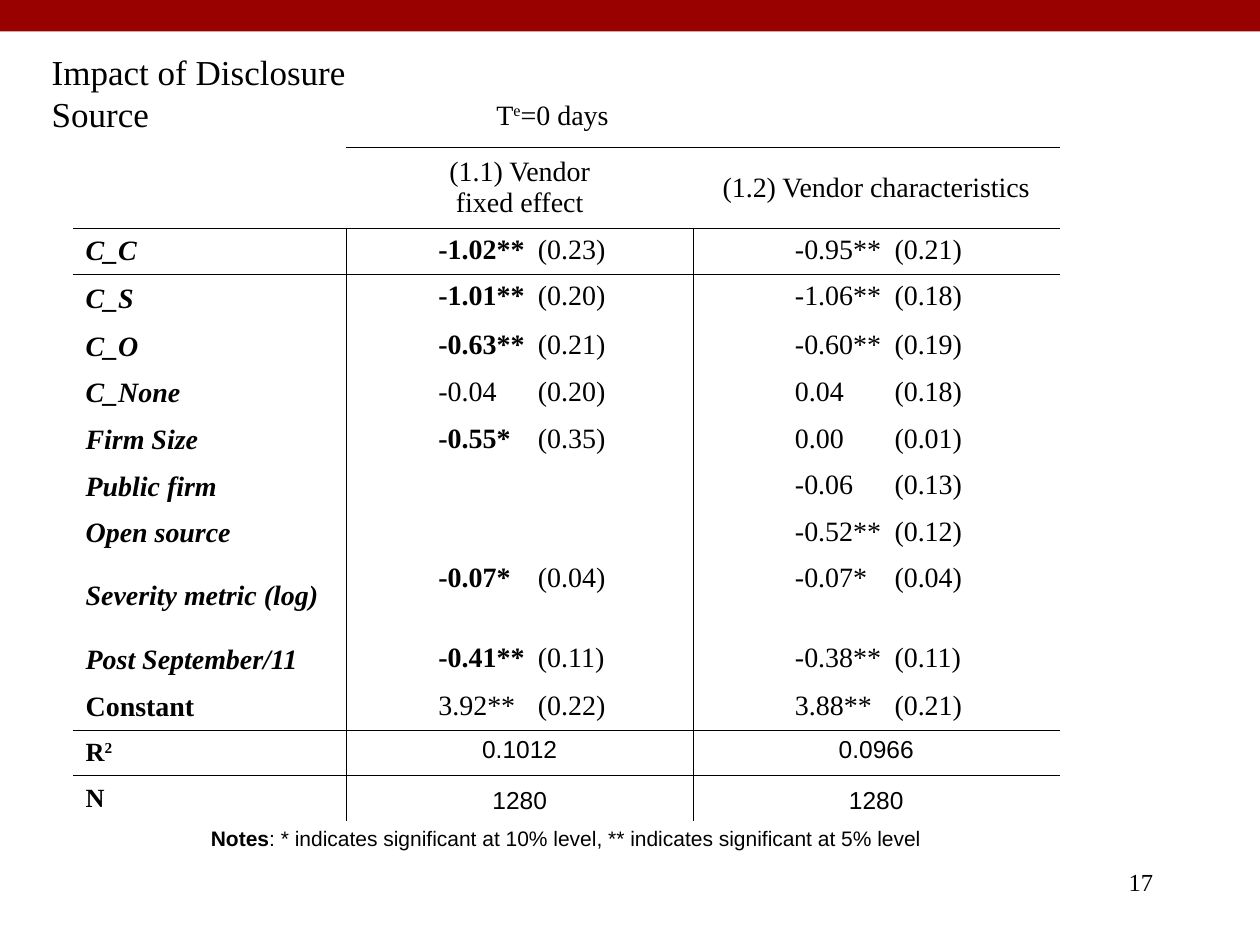
from lxml import etree
from pptx import Presentation
from pptx.dml.color import RGBColor
from pptx.enum.shapes import MSO_SHAPE
from pptx.enum.text import MSO_ANCHOR, MSO_AUTO_SIZE, PP_ALIGN
from pptx.oxml.ns import qn
from pptx.util import Inches, Pt

RECTANGLE = MSO_SHAPE.RECTANGLE
TOP, MIDDLE, BOTTOM = MSO_ANCHOR.TOP, MSO_ANCHOR.MIDDLE, MSO_ANCHOR.BOTTOM
LEFT, CENTER, RIGHT = PP_ALIGN.LEFT, PP_ALIGN.CENTER, PP_ALIGN.RIGHT
NO_AUTOFIT = MSO_AUTO_SIZE.NONE

RED = RGBColor(0x99, 0x00, 0x00)
BLACK = RGBColor(0x00, 0x00, 0x00)
SERIF, SANS = "Times New Roman", "Arial"
WIDTH, HEIGHT = Inches(10), Inches(7.5)
RULE_WIDTH = Pt(0.45)
NO_STYLE = "{2D5ABB26-0587-4C30-8999-92F81FD0307C}"

COLUMN_SHARES = [21.7, 27.5, 5.2, 23.9]
ROW_SHARES = [6.67, 8.53, 4.93, 5.2, *[4.93] * 5, 8.4, 5.07, 4.93, 4.8, 4.8, 7.2]
FIRST, LAST = 2, 13
ESTIMATE_INDENTS = {1: 0.73, 2: 0.81}
ERROR_TAB = 0.79

ESTIMATES = [
    ("C_C", ("-1.02**", "(0.23)"), ("-0.95**", "(0.21)")),
    ("C_S", ("-1.01**", "(0.20)"), ("-1.06**", "(0.18)")),
    ("C_O", ("-0.63**", "(0.21)"), ("-0.60**", "(0.19)")),
    ("C_None", ("-0.04", "(0.20)"), ("0.04", "(0.18)")),
    ("Firm Size", ("-0.55*", "(0.35)"), ("0.00", "(0.01)")),
    ("Public firm", None, ("-0.06", "(0.13)")),
    ("Open source", None, ("-0.52**", "(0.12)")),
    ("Severity metric (log)", ("-0.07*", "(0.04)"), ("-0.07*", "(0.04)")),
    ("Post September/11", ("-0.41**", "(0.11)"), ("-0.38**", "(0.11)")),
    ("Constant", ("3.92**", "(0.22)"), ("3.88**", "(0.21)")),
]


def across(share):
    return round(WIDTH * share / 100)


def down(share):
    return round(HEIGHT * share / 100)


def area(left, top, width, height):
    return across(left), down(top), across(width), down(height)


def add_span(para, text, raised=False, **formats):
    span = para.add_run()
    span.text = text
    for name, value in {"name": SERIF, "size": Pt(16), **formats}.items():
        setattr(span.font, name, value)
    span.font.color.rgb = BLACK
    if raised:
        span.font._element.set("baseline", "30000")


def add_bar(page):
    bar = page.shapes.add_shape(RECTANGLE, *area(0, 0, 100, 3.33))
    bar.shadow.inherit = False
    bar.fill.solid()
    bar.fill.fore_color.rgb = RED
    bar.line.fill.background()


def write_line(box, bounds, text, size, align):
    box.left, box.top, box.width, box.height = bounds
    frame = box.text_frame
    formats = {"word_wrap": True, "auto_size": NO_AUTOFIT, "vertical_anchor": TOP}
    for name, value in formats.items():
        setattr(frame, name, value)
    para = frame.paragraphs[0]
    para.alignment = align
    add_span(para, text, size=Pt(size))


def write_cell(cell, spans, align=CENTER, anchor=MIDDLE):
    cell.vertical_anchor = anchor
    para = cell.text_frame.paragraphs[0]
    para.alignment = align
    for text, formats in spans:
        add_span(para, text, **formats)


def write_estimate(cell, column, pair):
    estimate, error = pair
    cell.margin_left = Inches(ESTIMATE_INDENTS[column])
    para = cell.text_frame.paragraphs[0]
    tabs = etree.SubElement(para._p.get_or_add_pPr(), qn("a:tabLst"))
    etree.SubElement(tabs, qn("a:tab"), pos=str(Inches(ERROR_TAB)), algn="l")
    strong = column == 1 and estimate.startswith("-") and estimate.endswith("*")
    write_cell(cell, [(estimate, {"bold": strong}), ("\t" + error, {})], LEFT, TOP)


def rule_cell(cell, row, column):
    in_body = FIRST <= row <= LAST
    sides = {
        "a:lnL": in_body and column in (1, 2),
        "a:lnR": in_body and column in (0, 1),
        "a:lnT": row in (2, 12) or (row == 1 and column > 0),
        "a:lnB": row in (1, 11) or (row == 0 and column > 0),
    }
    properties = cell._tc.get_or_add_tcPr()
    for tag, ruled in sides.items():
        if ruled:
            line = etree.SubElement(properties, qn(tag), w=str(RULE_WIDTH))
            paint = etree.SubElement(line, qn("a:solidFill"))
            etree.SubElement(paint, qn("a:srgbClr"), val=str(BLACK))
    cell.fill.background()


def add_grid(page):
    bounds = area(5.8, 8.93, sum(COLUMN_SHARES), sum(ROW_SHARES))
    table = page.shapes.add_table(len(ROW_SHARES), len(COLUMN_SHARES), *bounds).table
    table.first_row = table.horz_banding = False
    table._tbl.tblPr.find(qn("a:tableStyleId")).text = NO_STYLE
    for column, share in zip(table.columns, COLUMN_SHARES):
        column.width = across(share)
    for row, share in zip(table.rows, ROW_SHARES):
        row.height = down(share)
    for row in range(len(ROW_SHARES)):
        for column in range(len(COLUMN_SHARES)):
            rule_cell(table.cell(row, column), row, column)
    table.cell(0, 1).merge(table.cell(0, 2))
    for row in range(1, LAST + 1):
        table.cell(row, 2).merge(table.cell(row, 3))
    table.cell(6, 1).merge(table.cell(8, 1))
    table.cell(14, 0).merge(table.cell(14, 3))
    return table


def fill_headings(table):
    write_cell(table.cell(0, 1), [("T", {}), ("e", {"raised": True}), ("=0 days", {})])
    vendor = table.cell(1, 1)
    write_cell(vendor, [("(1.1) Vendor", {})])
    second = vendor.text_frame.add_paragraph()
    second.alignment = CENTER
    add_span(second, "fixed effect")
    write_cell(table.cell(1, 2), [("(1.2) Vendor characteristics", {})])


def fill_estimates(table):
    for row, (label, *pairs) in enumerate(ESTIMATES, FIRST):
        formats = {"bold": True, "italic": label != "Constant"}
        write_cell(table.cell(row, 0), [(label, formats)], LEFT)
        for column, pair in enumerate(pairs, 1):
            if pair:
                write_estimate(table.cell(row, column), column, pair)


def fill_summary(table):
    label = {"size": Pt(15), "bold": True}
    number = {"size": Pt(14), "name": SANS}
    note = {"size": Pt(12), "name": SANS}
    rows = [
        ([("R", label), ("2", {**label, "raised": True})], ("0.1012", "0.0966"), TOP),
        ([("N", label)], ("1280", "1280"), BOTTOM),
    ]
    for row, (spans, values, anchor) in enumerate(rows, 12):
        write_cell(table.cell(row, 0), spans, LEFT)
        for column, value in enumerate(values, 1):
            write_cell(table.cell(row, column), [(value, number)], anchor=anchor)
    explanation = ": * indicates significant at 10% level, ** indicates significant at 5% level"
    spans = [("Notes", {**note, "bold": True}), (explanation, note)]
    write_cell(table.cell(14, 0), spans, anchor=TOP)


def main():
    deck = Presentation()
    deck.slide_width, deck.slide_height = WIDTH, HEIGHT
    page = deck.slides.add_slide(deck.slide_layouts[5])
    add_bar(page)
    table = add_grid(page)
    fill_headings(table)
    fill_estimates(table)
    fill_summary(table)
    write_line(page.shapes.title, area(3.1, 4.67, 33.7, 5.87),
               "Impact of Disclosure Source", 20, LEFT)
    bounds = area(71.7, 91.07, 20.8, 6.67)
    write_line(page.shapes.add_textbox(*bounds), bounds, "17", 14, RIGHT)
    deck.save("out.pptx")


if __name__ == "__main__":
    main()
